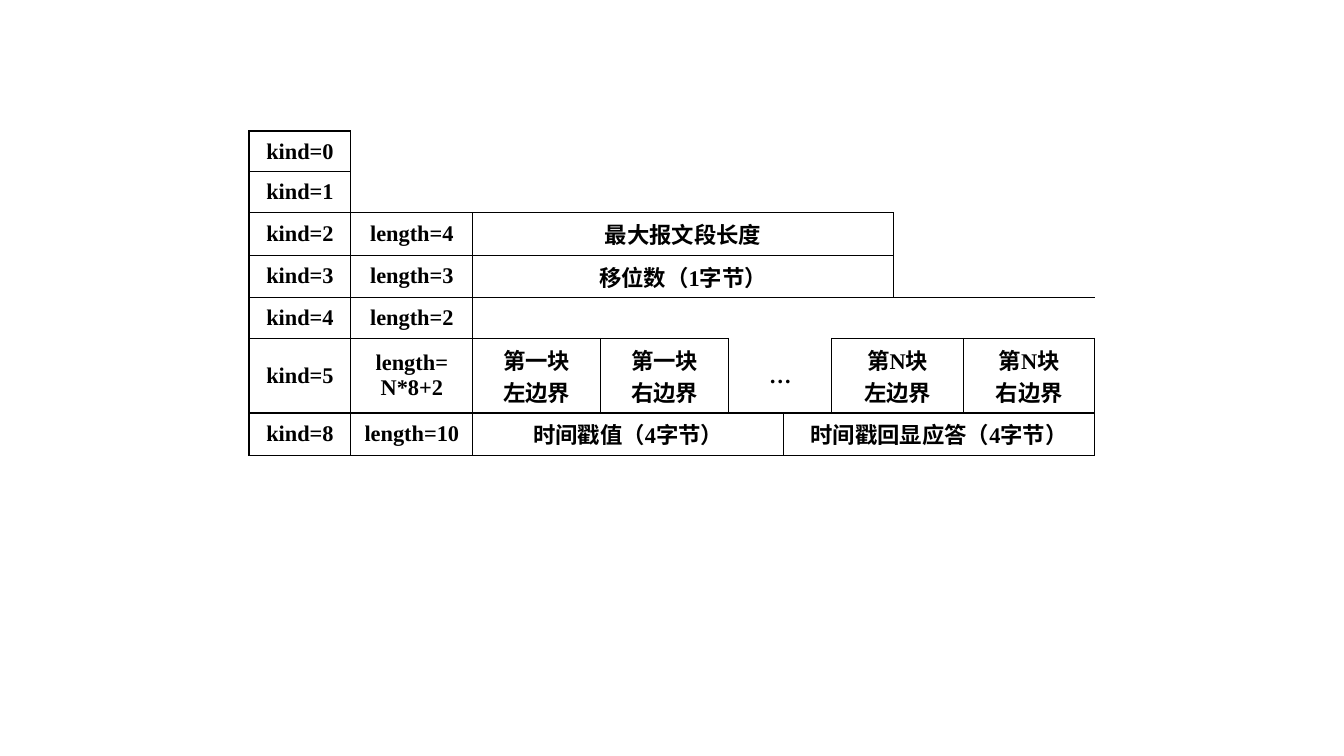
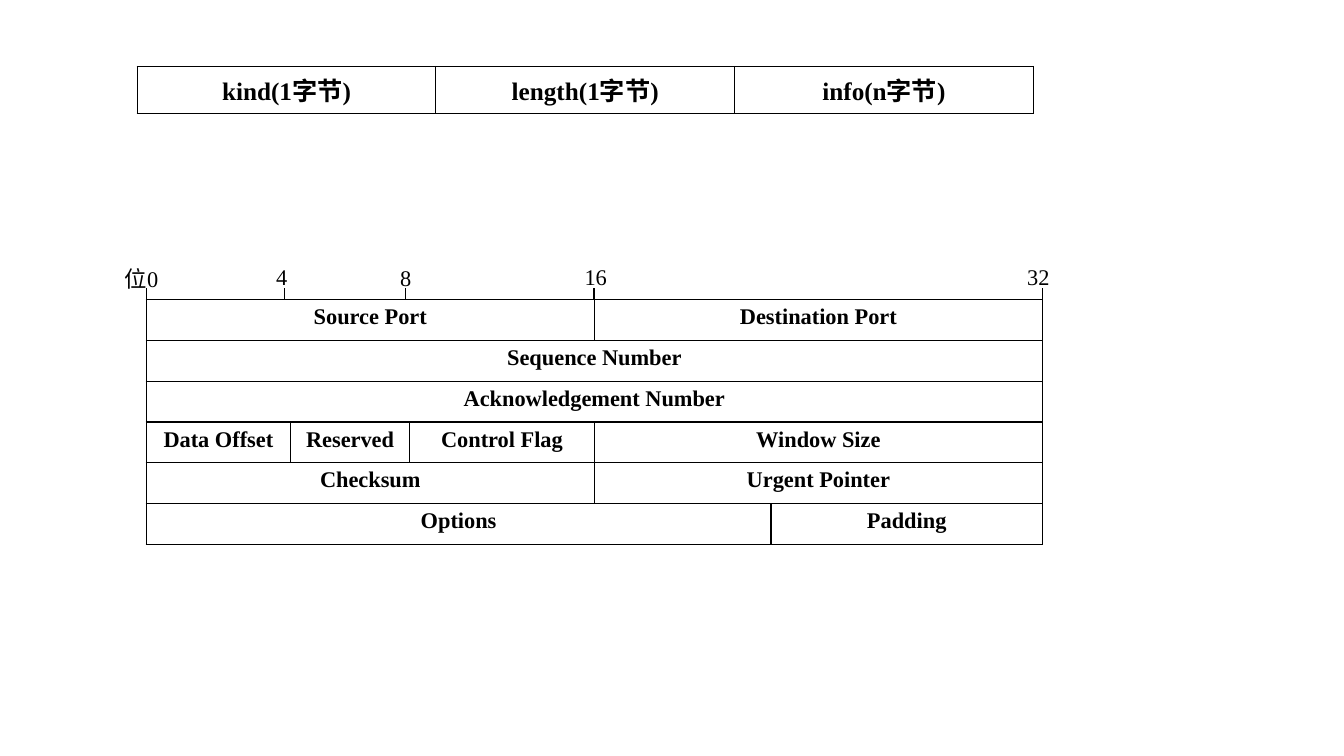
from dataclasses import dataclass
from lxml.etree import SubElement
from pptx import Presentation
from pptx.dml.color import RGBColor
from pptx.enum.shapes import MSO_CONNECTOR
from pptx.enum.text import MSO_ANCHOR, MSO_AUTO_SIZE, PP_ALIGN
from pptx.oxml.ns import qn
from pptx.slide import Slide
from pptx.table import _Cell
from pptx.text.text import _Paragraph
from pptx.util import Inches, Pt


@dataclass(frozen=True)
class Theme:
    font: str = "Times New Roman"
    ink: str = "000000"
    body_size: int = 16
    heading_size: int = 18
    line_width: int = 1


@dataclass(frozen=True)
class Field:
    text: str = ""
    columns: int = 1
    rows: int = 1
    sides: str = "LRTB"


@dataclass(frozen=True)
class Layout:
    left: float
    top: float
    width: float
    column_weights: tuple[float, ...]
    row_heights: tuple[float, ...]
    rows: tuple[tuple[Field, ...], ...]
    size: int
    anchor: MSO_ANCHOR


@dataclass(frozen=True)
class Mark:
    text: str
    tick_left: float
    label_left: float
    label_top: float


THEME = Theme()
ROW = 5.41
TALL_ROW = 8.13
HEADER_TOP = 39.6
TICK_TOP = 38.13
LABEL_WIDTH = 4.5
LABEL_HEIGHT = 4.93

OPTION_KINDS = Layout(
    18.53, 17.33, 62.94,
    (1.01, 1.21, 1.27, 1.27, 0.54, 0.48, 0.61, 0.7, 1.3),
    (ROW,) * 5 + (TALL_ROW, ROW),
    (
        (Field("kind=0"), Field(columns=8, rows=2, sides="LB")),
        (Field("kind=1"),),
        (Field("kind=2"), Field("length=4"), Field("最大报文段长度", 5), Field(columns=2, sides="L")),
        (Field("kind=3"), Field("length=3"), Field("移位数（1字节）", 5), Field(columns=2, sides="L")),
        (Field("kind=4"), Field("length=2"), Field(columns=7, sides="LTB")),
        (
            Field("kind=5"), Field("length=\nN*8+2"),
            Field("第一块\n左边界"), Field("第一块\n右边界"),
            Field("…", 2, sides="LRB"),
            Field("第N块\n左边界", 2), Field("第N块\n右边界"),
        ),
        (Field("kind=8"), Field("length=10"), Field("时间戳值（4字节）", 3), Field("时间戳回显应答（4字节）", 4)),
    ),
    THEME.body_size, MSO_ANCHOR.MIDDLE,
)

OPTION_FORMAT = Layout(
    10.2, 8.8, 66.69, (1, 1, 1), (ROW,),
    ((Field("kind(1字节)"), Field("length(1字节)"), Field("info(n字节)")),),
    THEME.heading_size, MSO_ANCHOR.TOP,
)

SEGMENT_HEADER = Layout(
    10.88, HEADER_TOP, 66.69, (1.43, 1.18, 1.83, 1.75, 2.69), (ROW,) * 6,
    (
        (Field("Source Port", 3), Field("Destination Port", 2)),
        (Field("Sequence Number", 5),),
        (Field("Acknowledgement Number", 5),),
        (Field("Data Offset"), Field("Reserved"), Field("Control Flag"), Field("Window Size", 2)),
        (Field("Checksum", 3), Field("Urgent Pointer", 2)),
        (Field("Options", 4), Field("Padding")),
    ),
    THEME.body_size, MSO_ANCHOR.TOP,
)

BIT_MARKS = (
    Mark("位0", 10.88, 8.55, 34.4),
    Mark("4", 21.16, 19.8, 34.13),
    Mark("8", 30.16, 29.03, 34.27),
    Mark("16", 44.19, 42.76, 34.13),
    Mark("32", 77.57, 75.69, 34.13),
)

presentation = Presentation()
presentation.slide_width = Inches(13.33)
presentation.slide_height = Inches(7.5)


def across(percent: float) -> int:
    return round(presentation.slide_width * percent / 100)


def down(percent: float) -> int:
    return round(presentation.slide_height * percent / 100)


def add_text(paragraph: _Paragraph, text: str, size: int, bold: bool) -> None:
    run = paragraph.add_run()
    run.text = text
    run.font.name = THEME.font
    run.font.size = Pt(size)
    run.font.bold = bold
    run.font.color.rgb = RGBColor.from_string(THEME.ink)


def set_borders(cell: _Cell, sides: str) -> None:
    properties = cell._tc.get_or_add_tcPr()
    for position, side in enumerate("LRTB"):
        line = SubElement(properties, qn(f"a:ln{side}"), w=str(Pt(THEME.line_width)))
        if side in sides:
            fill = SubElement(line, qn("a:solidFill"))
            SubElement(fill, qn("a:srgbClr"), val=THEME.ink)
        else:
            SubElement(line, qn("a:noFill"))
        properties.remove(line)
        properties.insert(position, line)


def fill_field(cell: _Cell, field: Field, layout: Layout) -> None:
    cell.vertical_anchor = layout.anchor
    if not field.text:
        return
    for index, text in enumerate(field.text.split("\n")):
        frame = cell.text_frame
        paragraph = frame.add_paragraph() if index else frame.paragraphs[0]
        paragraph.alignment = PP_ALIGN.CENTER
        add_text(paragraph, text, layout.size, True)


def add_layout(slide: Slide, layout: Layout) -> None:
    table = slide.shapes.add_table(
        len(layout.row_heights), len(layout.column_weights),
        across(layout.left), down(layout.top),
        across(layout.width), down(sum(layout.row_heights)),
    ).table
    table.first_row = False
    table.horz_banding = False
    for column, weight in zip(table.columns, layout.column_weights):
        column.width = across(layout.width * weight / sum(layout.column_weights))
    for row, height in zip(table.rows, layout.row_heights):
        row.height = down(height)
    for top, fields in enumerate(layout.rows):
        left = 0
        for field in fields:
            bottom = top + field.rows - 1
            right = left + field.columns - 1
            origin = table.cell(top, left)
            if field.rows * field.columns > 1:
                origin.merge(table.cell(bottom, right))
            for row in range(top, bottom + 1):
                for column in range(left, right + 1):
                    outer = {"L": column == left, "R": column == right, "T": row == top, "B": row == bottom}
                    cell = table.cell(row, column)
                    cell.fill.background()
                    set_borders(cell, "".join(side for side in field.sides if outer[side]))
            set_borders_origin = field.rows * field.columns > 1
            if set_borders_origin:
                replace_borders(origin, field.sides)
            fill_field(origin, field, layout)
            left = right + 1


def replace_borders(cell: _Cell, sides: str) -> None:
    properties = cell._tc.get_or_add_tcPr()
    for side in "LRTB":
        properties.remove(properties.find(qn(f"a:ln{side}")))
    set_borders(cell, sides)


def add_mark(slide: Slide, mark: Mark) -> None:
    label = slide.shapes.add_textbox(
        across(mark.label_left), down(mark.label_top), across(LABEL_WIDTH), down(LABEL_HEIGHT)
    )
    label.text_frame.word_wrap = True
    label.text_frame.auto_size = MSO_AUTO_SIZE.SHAPE_TO_FIT_TEXT
    add_text(label.text_frame.paragraphs[0], mark.text, THEME.body_size, False)
    tick = slide.shapes.add_connector(
        MSO_CONNECTOR.STRAIGHT,
        across(mark.tick_left), down(TICK_TOP), across(mark.tick_left), down(HEADER_TOP),
    )
    tick.line.color.rgb = RGBColor.from_string(THEME.ink)
    tick.line.width = Pt(THEME.line_width)
    SubElement(tick._element.spPr, qn("a:effectLst"))


def add_slide(layouts: tuple[Layout, ...], marks: tuple[Mark, ...] = ()) -> None:
    slide = presentation.slides.add_slide(presentation.slide_layouts[6])
    for layout in layouts:
        add_layout(slide, layout)
    for mark in marks:
        add_mark(slide, mark)


add_slide((OPTION_KINDS,))
add_slide((OPTION_FORMAT, SEGMENT_HEADER), BIT_MARKS)
presentation.save("out.pptx")
